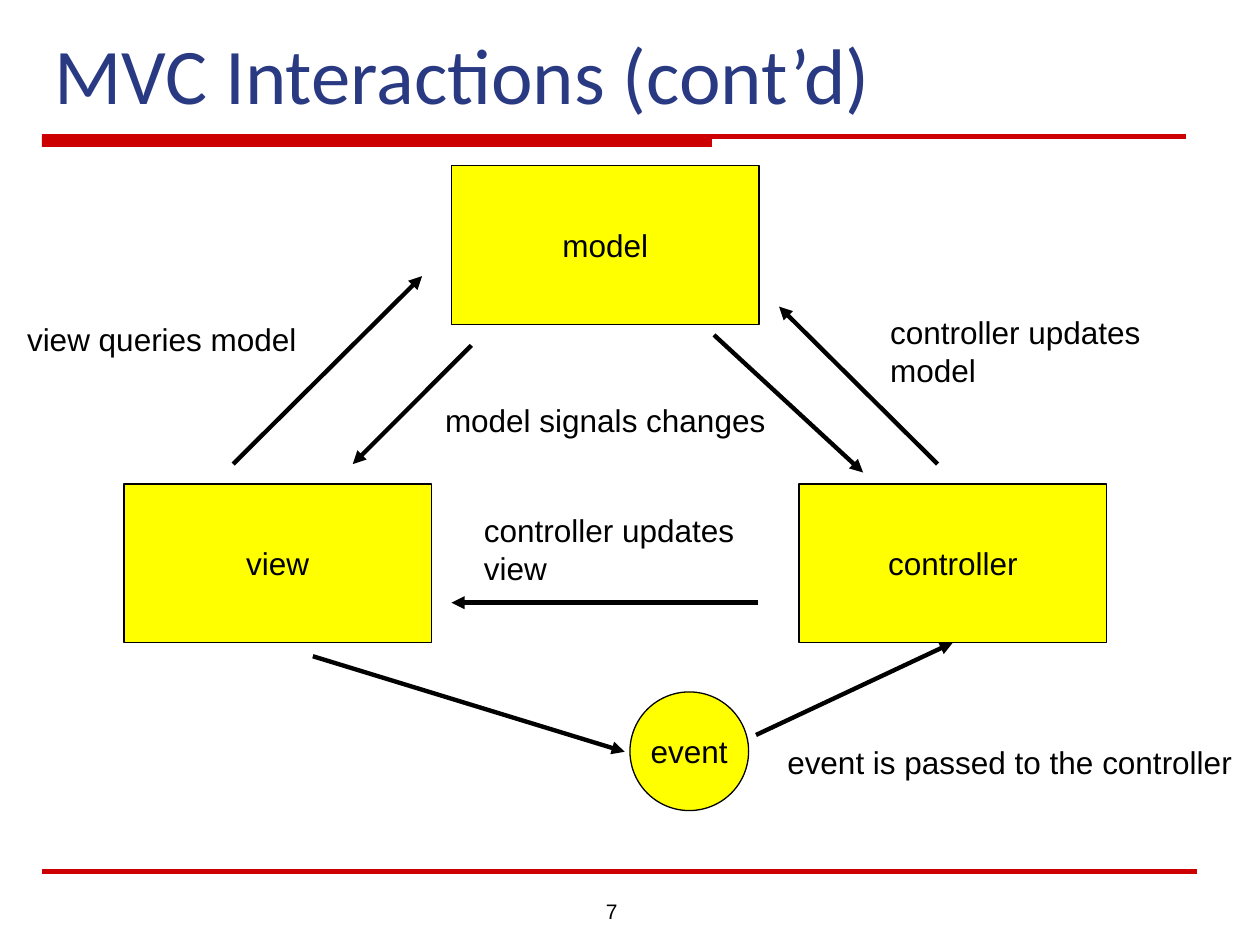
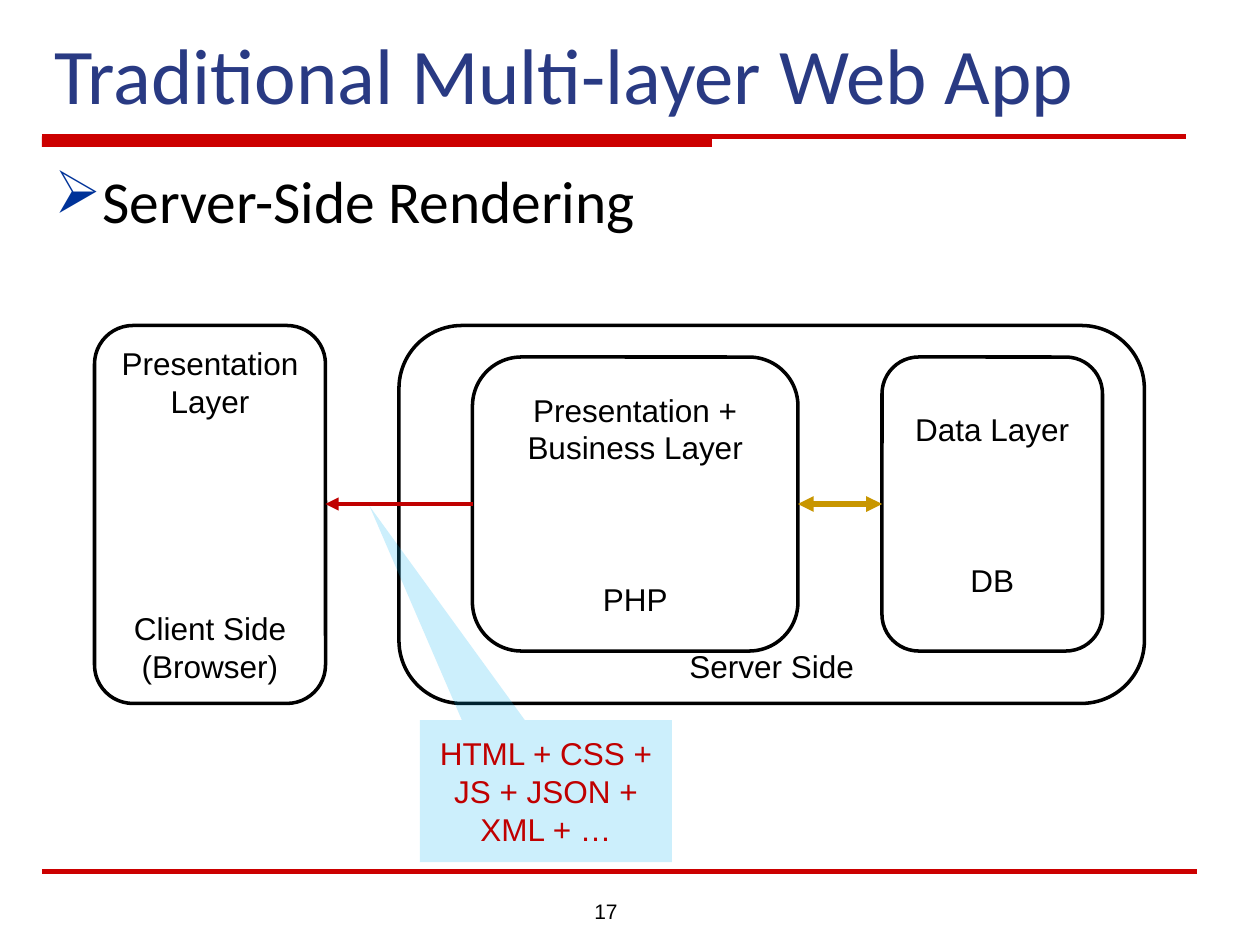
"""Build two slides on MVC interactions and a server-rendered web app."""
from lxml import etree
from pptx import Presentation, util as u
from pptx.dml.color import RGBColor
from pptx.enum import shapes, text
from pptx.oxml import ns

RED = RGBColor(0xCC, 0x00, 0x00)
DARK = RGBColor(0xC0, 0x00, 0x00)
NAVY = RGBColor(0x29, 0x3A, 0x83)
GOLD = RGBColor(0xC8, 0x96, 0x00)
SKY = RGBColor(0x00, 0xB0, 0xF0)
YELLOW = RGBColor(0xFF, 0xFF, 0x00)
BLACK = RGBColor(0x00, 0x00, 0x00)

KIND = shapes.MSO_SHAPE
ALIGN = text.PP_ALIGN
ANCHOR = text.MSO_ANCHOR

deck = Presentation()
deck.slide_width = u.Inches(10)
deck.slide_height = u.Inches(7.5)
CELL = deck.slide_width / 120
ROW = 21.6


def box(slide, kind, at, paras=(), size=18, font="Arial", color=BLACK, fill=None,
        line=None, align=ALIGN.CENTER, anchor=ANCHOR.MIDDLE, wrap=True):
    """Add a shape, or a text box if kind is None; paras are (words, rows skipped)."""
    spot = [round(n * CELL) for n in at]
    if kind is None:
        item = slide.shapes.add_textbox(*spot)
    else:
        item = slide.shapes.add_shape(kind, *spot)
        item.shadow.inherit = False
        if fill is None:
            item.fill.background()
        else:
            item.fill.solid()
            item.fill.fore_color.rgb = fill
        if line is None:
            item.line.fill.background()
        else:
            item.line.color.rgb = BLACK
            item.line.width = u.Pt(line)
    frame = item.text_frame
    frame.word_wrap = wrap
    frame.vertical_anchor = anchor
    for i, (words, skip) in enumerate(paras):
        para = frame.add_paragraph() if i else frame.paragraphs[0]
        para.text = words
        para.alignment = align
        para.space_before = u.Pt(skip * ROW)
        para.font.size = u.Pt(size)
        para.font.name = font
        para.font.color.rgb = color
    return item


def rule(slide, ends, color=BLACK, width=2.5, tips=("tailEnd",)):
    """Add a straight line with triangles at the named tips."""
    item = slide.shapes.add_connector(
        shapes.MSO_CONNECTOR.STRAIGHT, *[round(n * CELL) for n in ends])
    item.line.color.rgb = color
    item.line.width = u.Pt(width)
    for tip in tips:
        etree.SubElement(item.line._get_or_add_ln(), ns.qn("a:" + tip), type="triangle")
    etree.SubElement(item._element.spPr, ns.qn("a:effectLst"))
    return item


pages = []
for title, page in (("MVC Interactions (cont’d)", "7"),
                    ("Traditional Multi-layer Web App", "17")):
    slide = deck.slides.add_slide(deck.slide_layouts[6])
    box(slide, KIND.RECTANGLE, (4, 13, 63.8, 1), fill=RED)
    rule(slide, (4, 13, 113, 13), RED, 3, ())
    rule(slide, (4, 83, 114, 83), RED, 3, ())
    box(slide, None, (4, 2, 111, 10), [(title, 0)], 45, "Calibri", NAVY,
        align=ALIGN.LEFT, anchor=ANCHOR.BOTTOM)
    box(slide, None, (52, 85, 8, 3.2), [(page, 0)], 12,
        align=ALIGN.RIGHT, anchor=ANCHOR.TOP)
    pages.append(slide)
mvc, web = pages

parts = {}
for name, x, y in (("model", 43, 15.8), ("view", 11.8, 46.1), ("controller", 76.1, 46.1)):
    parts[name] = box(mvc, KIND.RECTANGLE, (x, y, 29.3, 15.1), [(name, 0)],
                      fill=YELLOW, line=0.75, wrap=False)
box(mvc, KIND.OVAL, (60, 65.9, 11.3, 11.3), [("event", 0)],
    fill=YELLOW, line=0.75, wrap=False)

for ends in ((22.2, 44.2, 40.2, 26.3), (44.9, 32.9, 33.6, 44.2),
             (72.2, 57.4, 43, 57.4), (89.3, 44.2, 74.2, 29.2),
             (68, 31.9, 82.2, 45), (29.8, 62.5, 59.5, 71.6)):
    rule(mvc, ends)
rule(mvc, (72, 70, 90.8, 61.2)).end_connect(parts["controller"], 2)

for words, x, y, wide, high in (
        ("event is passed to the controller", 73.8, 70.2, 48.2, 4.8),
        ("controller updates model", 83.6, 29.2, 30.2, 8.4),
        ("controller updates view", 44.9, 48.1, 30.2, 8.4),
        ("view queries model", 1.4, 29.9, 28.3, 4.8),
        ("model signals changes", 41.2, 37.6, 36.8, 4.8)):
    box(mvc, None, (x, y, wide, high), [(words, 0)], align=ALIGN.LEFT, anchor=ANCHOR.TOP)

body = box(web, None, (4, 15, 110, 68), [("Server-Side Rendering", 0)], 34, "Calibri",
           align=ALIGN.LEFT, anchor=ANCHOR.TOP)
props = body.text_frame.paragraphs[0]._p.get_or_add_pPr()
props.set("marL", str(u.Inches(0.38)))
props.set("indent", str(-u.Inches(0.38)))
tint = etree.SubElement(props, ns.qn("a:buClr"))
etree.SubElement(tint, ns.qn("a:srgbClr"), val="003399")
etree.SubElement(props, ns.qn("a:buChar"), char="➢")

server = box(web, KIND.ROUNDED_RECTANGLE, (38, 31, 71, 36), [("Server Side", 0)],
             line=2, anchor=ANCHOR.BOTTOM)
server.text_frame.margin_bottom = 0
client, logic, data = [
    box(web, KIND.ROUNDED_RECTANGLE, at, paras, line=2) for at, paras in (
        ((9, 31, 22, 36), [("Presentation Layer", 0), ("Client Side", 5), ("(Browser)", 0)]),
        ((45, 34, 31, 28), [("Presentation + Business Layer", 0), ("PHP", 3)]),
        ((84, 34, 21, 28), [("Data Layer", 0), ("DB", 3)]))]

link = rule(web, (76, 48, 84, 48), GOLD, 3, ("headEnd", "tailEnd"))
link.begin_connect(logic, 3)
link.end_connect(data, 1)
rule(web, (45, 48, 31, 48), DARK).begin_connect(logic, 1)

note = box(web, KIND.RECTANGULAR_CALLOUT, (40, 68.6, 24, 13.5),
           [("HTML + CSS + JS + JSON + XML + …", 0)], color=DARK, fill=SKY)
note.adjustments[0] = -0.7
note.adjustments[1] = -2.01
shade = note._element.spPr.find(".//" + ns.qn("a:srgbClr"))
etree.SubElement(shade, ns.qn("a:alpha"), val="20000")

deck.save("out.pptx")
